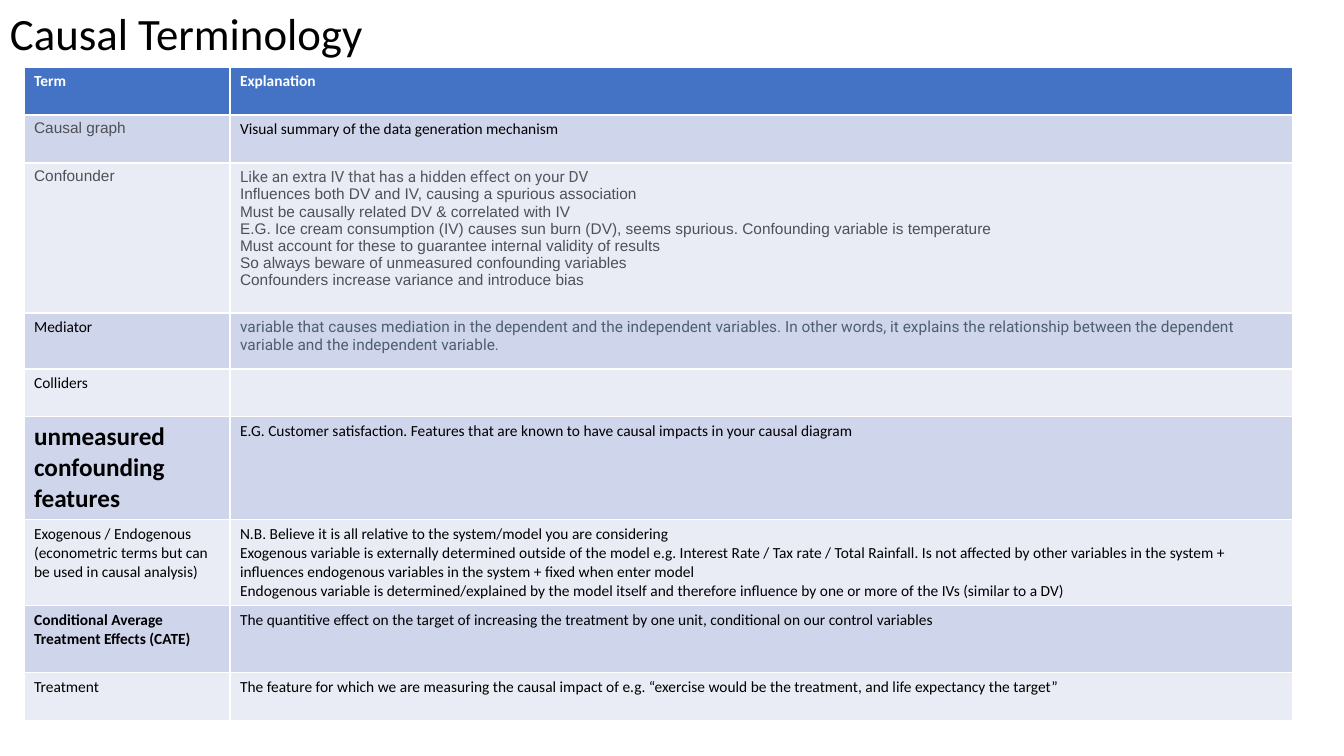
from pptx import Presentation
from pptx.dml.color import RGBColor
from pptx.enum.text import MSO_ANCHOR
from pptx.util import Pt

SCALE = 914400 / 100.8

BLACK = RGBColor(0x00, 0x00, 0x00)
WHITE = RGBColor(0xFF, 0xFF, 0xFF)
BLUE = RGBColor(0x44, 0x72, 0xC4)
DARK = RGBColor(0xCF, 0xD5, 0xEA)
PALE = RGBColor(0xE9, 0xEB, 0xF5)
GREY = RGBColor(0x4D, 0x51, 0x56)
ASH = RGBColor(0x57, 0x57, 0x60)
SLATE = RGBColor(0x4C, 0x5F, 0x6F)

PLAIN = ("Calibri", 11, BLACK, False)
BOLD = ("Calibri", 11, BLACK, True)
LARGE = ("Calibri", 18, BLACK, True)
HEAD = ("Calibri", 11, WHITE, True)
ARIAL = ("Arial", 11, GREY, False)
HIDDEN = ("Roboto", 11, ASH, False)
MEDIAN = ("Roboto", 11, SLATE, False)
TITLE = ("Calibri", 32, BLACK, False)

COLS = [206, 1063]
ROWS = [
    (48, [("Term", HEAD)], [("Explanation", HEAD)]),
    (48, [("Causal graph", ARIAL)],
     [("Visual summary of the data generation mechanism", PLAIN)]),
    (150, [("Confounder", ARIAL)], [
        ("Like an extra IV that has a hidden effect on your DV", HIDDEN),
        ("Influences both DV and IV, causing a spurious association", ARIAL),
        ("Must be causally related DV & correlated with IV", ARIAL),
        ("E.G. Ice cream consumption (IV) causes sun burn (DV), seems spurious. "
         "Confounding variable is temperature", ARIAL),
        ("Must account for these to guarantee internal validity of results", ARIAL),
        ("So always beware of unmeasured confounding variables", ARIAL),
        ("Confounders increase variance and introduce bias", ARIAL)]),
    (56, [("Mediator", PLAIN)],
     [("variable that causes mediation in the dependent and the independent "
       "variables. In other words, it explains the relationship between the "
       "dependent variable and the independent variable.", MEDIAN)]),
    (48, [("Colliders", PLAIN)], []),
    (103, [("unmeasured confounding features", LARGE)],
     [("E.G. Customer satisfaction. Features that are known to have causal "
       "impacts in your causal diagram", PLAIN)]),
    (86, [("Exogenous / Endogenous", PLAIN),
          ("(econometric terms but can be used in causal analysis)", PLAIN)], [
        ("N.B. Believe it is all relative to the system/model you are considering",
         PLAIN),
        ("Exogenous variable is externally determined outside of the model e.g. "
         "Interest Rate / Tax rate / Total Rainfall. Is not affected by other "
         "variables in the system + influences endogenous variables in the system "
         "+ fixed when enter model", PLAIN),
        ("Endogenous variable is determined/explained by the model itself and "
         "therefore influence by one or more of the IVs (similar to a DV)", PLAIN)]),
    (67, [("Conditional Average Treatment Effects (CATE)", BOLD)],
     [("The quantitive effect on the target of increasing the treatment by one "
       "unit, conditional on our control variables", PLAIN)]),
    (48, [("Treatment", PLAIN)],
     [("The feature for which we are measuring the causal impact of e.g. "
       "“exercise would be the treatment, and life expectancy the target”", PLAIN)]),
]


def px(count):
    return round(count * SCALE)


def write(frame, lines):
    for index, (text, (face, size, color, bold)) in enumerate(lines):
        para = frame.add_paragraph() if index else frame.paragraphs[0]
        run = para.add_run()
        run.text = text
        run.font.name = face
        run.font.size = Pt(size)
        run.font.color.rgb = color
        run.font.bold = bold


def add_title(slide, left, top, width, height):
    box = slide.shapes.add_textbox(px(left), px(top), px(width), px(height))
    frame = box.text_frame
    frame.word_wrap = True
    frame.vertical_anchor = MSO_ANCHOR.MIDDLE
    write(frame, [("Causal Terminology", TITLE)])
    frame.paragraphs[0].line_spacing = 0.9


def add_terms(slide, left, top):
    height = sum(row[0] for row in ROWS)
    table = slide.shapes.add_table(
        len(ROWS), len(COLS), px(left), px(top), px(sum(COLS)), px(height)).table
    for column, width in zip(table.columns, COLS):
        column.width = px(width)
    for index, (tall, *cells) in enumerate(ROWS):
        table.rows[index].height = px(tall)
        fill = BLUE if index == 0 else DARK if index % 2 else PALE
        for cell, lines in zip(table.rows[index].cells, cells):
            cell.fill.solid()
            cell.fill.fore_color.rgb = fill
            write(cell.text_frame, lines)


def main():
    deck = Presentation()
    deck.slide_width = px(1344)
    deck.slide_height = px(756)
    slide = deck.slides.add_slide(deck.slide_layouts[6])
    add_title(slide, 0, -2, 1127, 77)
    add_terms(slide, 24, 67)
    deck.save("out.pptx")


if __name__ == "__main__":
    main()
